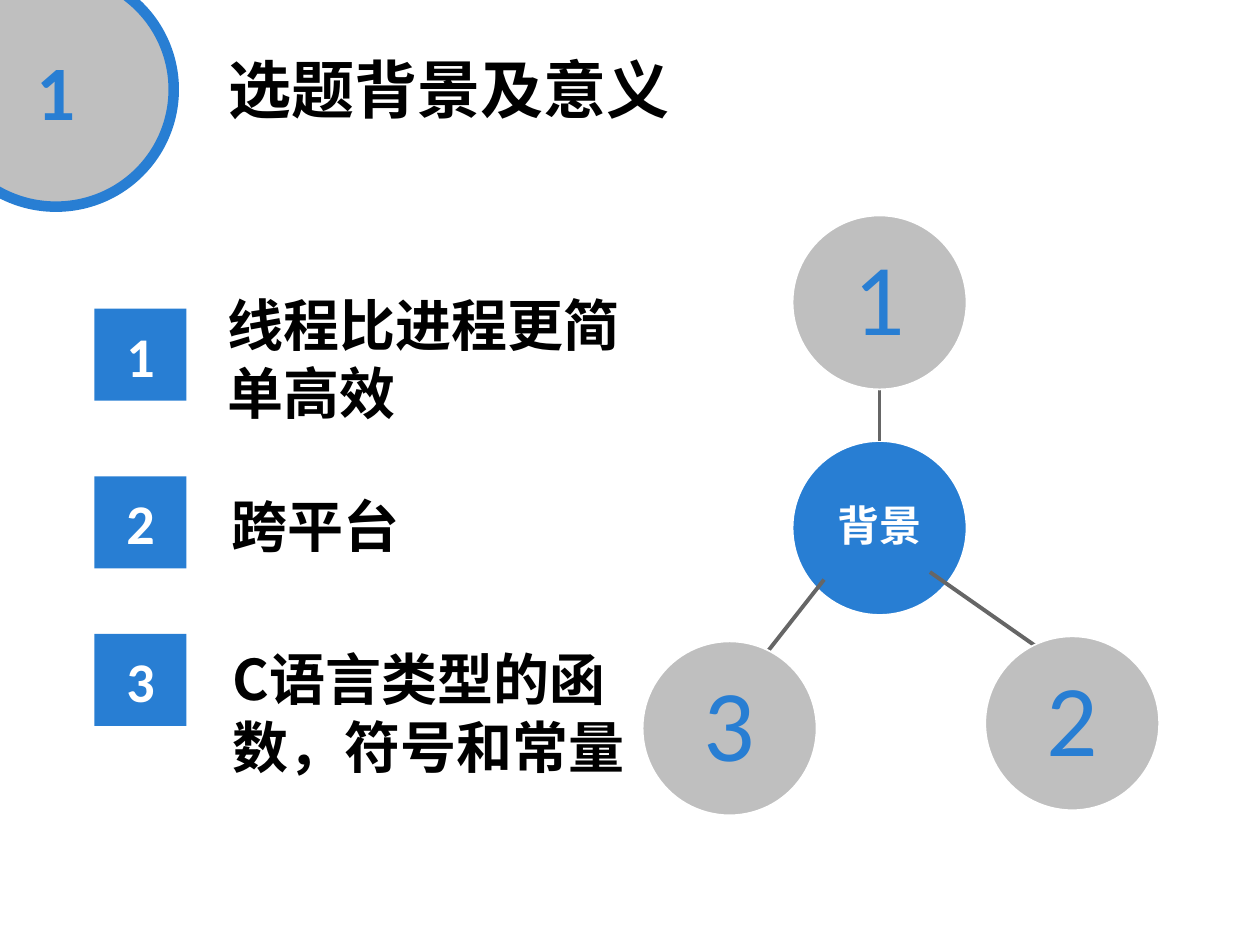
from lxml import etree
from pptx import Presentation
from pptx.dml.color import RGBColor
from pptx.enum.shapes import MSO_CONNECTOR, MSO_SHAPE
from pptx.enum.text import MSO_ANCHOR as Anchor, MSO_AUTO_SIZE as AutoSize, PP_ALIGN as Align
from pptx.oxml.ns import qn
from pptx.util import Pt

BLUE, GREY, LINE_GREY = "287ED3", "BFBFBF", "666666"
WHITE, BLACK = "FFFFFF", "000000"
LATIN, CHINESE = "Calibri", "Noto Sans CJK SC"

NODE_SIZE = 99.4
BADGE_LEFT, BADGE_SIZE = 54, 52.6
# badge top, text, then text left, top, width, height
ITEMS = [
    (176.4, "线程比进程更简单高效", (123.1, 162.7, 268.6, 84.2)),
    (272.2, "跨平台", (125.3, 277.2, 198.7, 46.1)),
    (362.2, "C语言类型的函数，符号和常量", (126, 365, 245.5, 84.2)),
]
# node left and top, then the start and end of its spoke
NODES = [
    ((452.9, 123.1), (502.6, 252), (502.6, 221.8)),
    ((563, 363.6), (531.4, 326.9), (603.4, 377.3)),
    ((367.2, 366.5), (470.9, 331.2), (408.2, 411.1)),
]


def color(hex_string):
    return RGBColor.from_string(hex_string)


def points(*values):
    return [Pt(value) for value in values]


def write(shape, text, size, ink=BLACK, font=CHINESE, bold=True, align=Align.LEFT,
          anchor=Anchor.TOP, auto_size=AutoSize.NONE, inset=None, line_spacing=None,
          space_after=0):
    frame = shape.text_frame
    frame.word_wrap = True
    frame.auto_size = auto_size
    frame.vertical_anchor = anchor
    side, end = (7.2, 3.6) if inset is None else (inset, inset)
    frame.margin_left = frame.margin_right = Pt(side)
    frame.margin_top = frame.margin_bottom = Pt(end)
    para = frame.paragraphs[0]
    para.alignment = align
    para.line_spacing = line_spacing
    para.space_after = Pt(space_after)
    span = para.add_run()
    span.text = text
    span.font.size = Pt(size)
    span.font.bold = bold
    span.font.name = font
    span.font.color.rgb = color(ink)
    etree.SubElement(span.font._element, qn("a:ea"), typeface=font)


def add_solid(slide, kind, left, top, width, height, fill, line=None, line_width=1):
    shape = slide.shapes.add_shape(kind, *points(left, top, width, height))
    shape.shadow.inherit = False
    shape.fill.solid()
    shape.fill.fore_color.rgb = color(fill)
    if line:
        shape.line.color.rgb = color(line)
        shape.line.width = Pt(line_width)
    else:
        shape.line.fill.background()
    return shape


def add_title(slide, text):
    title = slide.shapes.title
    title.left, title.top, title.width, title.height = points(123.1, 25.2, 445.7, 50.4)
    write(title, text, 36)


def add_section_number(slide, text):
    circle = add_solid(slide, MSO_SHAPE.OVAL, -35.3, -15.8, 134.6, 133.9, GREY, BLUE, 6)
    write(circle, text, 44, ink=BLUE, font=LATIN, align=Align.CENTER, anchor=Anchor.MIDDLE)


def add_node(slide, position, text, fill, **text_format):
    node = add_solid(slide, MSO_SHAPE.OVAL, *position, NODE_SIZE, NODE_SIZE, fill, WHITE)
    write(node, text, align=Align.CENTER, anchor=Anchor.MIDDLE, inset=3,
          line_spacing=0.9, **text_format)


def add_spoke(slide, start, end):
    spoke = slide.shapes.add_connector(MSO_CONNECTOR.STRAIGHT, *points(*start, *end))
    spoke.line.color.rgb = color(LINE_GREY)
    spoke.line.width = Pt(2.25)
    etree.SubElement(spoke._element.spPr, qn("a:effectLst"))


def add_item(slide, number, badge_top, text, place):
    badge = add_solid(slide, MSO_SHAPE.RECTANGLE, BADGE_LEFT, badge_top,
                      BADGE_SIZE, BADGE_SIZE, BLUE)
    write(badge, str(number), 32, ink=WHITE, font=LATIN, align=Align.CENTER,
          anchor=Anchor.MIDDLE)
    box = slide.shapes.add_textbox(*points(*place))
    write(box, text, 32, auto_size=AutoSize.SHAPE_TO_FIT_TEXT)


def main():
    deck = Presentation()
    deck.slide_width, deck.slide_height = points(720, 540)
    slide = deck.slides.add_slide(deck.slide_layouts[5])

    add_title(slide, "选题背景及意义")
    add_section_number(slide, "1")
    add_node(slide, (452.9, 252), "背景", BLUE, size=24, ink=WHITE, space_after=10.5)
    for number, (position, start, end) in enumerate(NODES, 1):
        add_spoke(slide, start, end)
        add_node(slide, position, str(number), GREY, size=58, ink=BLUE, font=LATIN,
                 bold=False, space_after=25.4)
    for number, item in enumerate(ITEMS, 1):
        add_item(slide, number, *item)

    deck.save("out.pptx")


if __name__ == "__main__":
    main()
